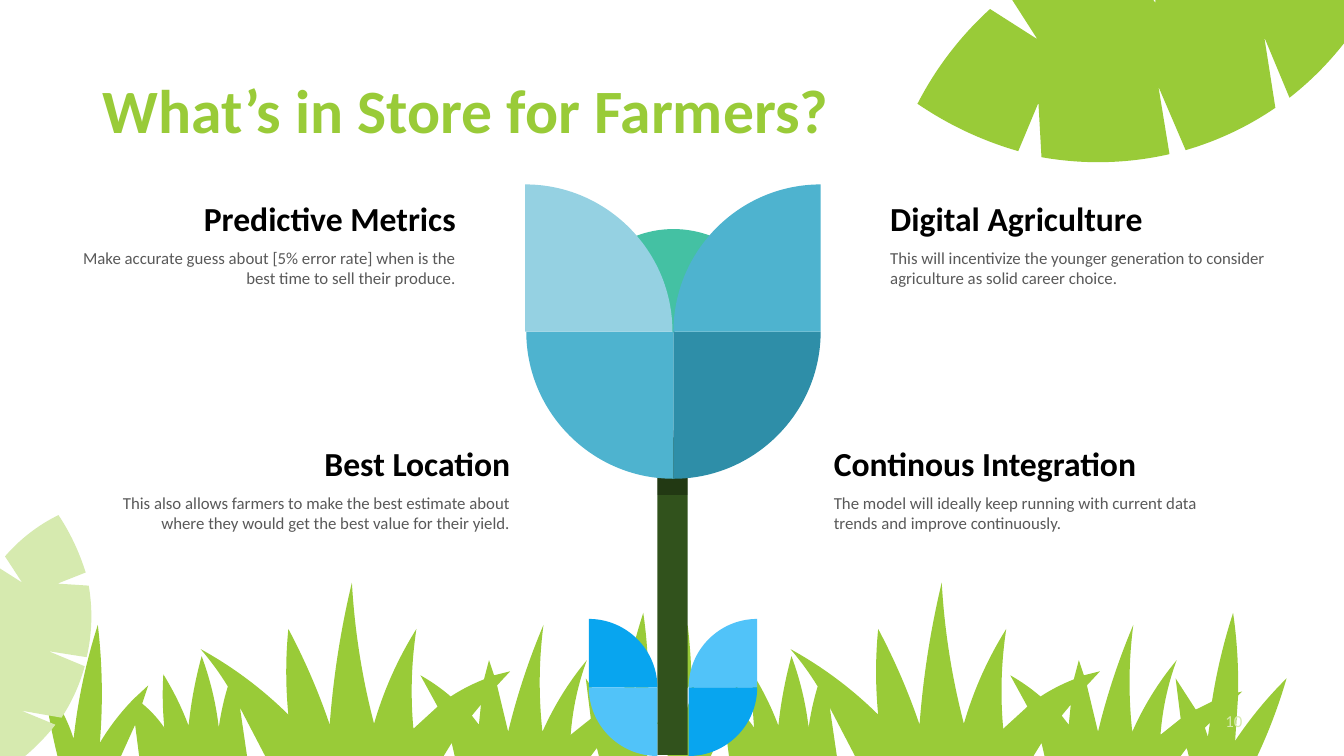
import math
from lxml import etree
from pptx import Presentation
from pptx.dml.color import RGBColor
from pptx.enum import shapes, text
from pptx.oxml.ns import qn
from pptx.util import Cm, Pt

# Content
TITLE = "What’s in Store for Farmers?"
PAGE_NUMBER = "10"
L, R = text.PP_ALIGN.LEFT, text.PP_ALIGN.RIGHT
# left, top, width, body height (inches), alignment, heading, body
TOPICS = [
    (8.27, 4.34, 3.66, 0.5, L, "Continous Integration",
     "The model will ideally keep running with current data trends and improve continuously."),
    (0.7, 1.91, 3.82, 0.5, R, "Predictive Metrics",
     "Make accurate guess about [5% error rate] when is the best time to sell their produce."),
    (8.83, 1.91, 3.8, 0.5, L, "Digital Agriculture",
     "This will incentivize the younger generation to consider agriculture as solid career choice."),
    (1.12, 4.34, 3.94, 0.71, R, "Best Location",
     "This also allows farmers to make the best estimate about where they would get the best value for their yield."),
]
C = {"green": "99CB38", "pale": "D6EAAF", "stem": "31521C", "black": "000000",
     "body": "595959", "leaf": "08A5EF", "leaf_light": "51C3F9", "bud": "44C1A3",
     "petal": "4EB3CF", "petal_dark": "2E8EA8", "petal_light": "95D1E2"}

# Outlines: x, y in inches and the bow of the edge that ends there (percent)
GRASS = [
    (6.4, 7.35, 0), (6.43, 6.9, 0), (6.47, 6.86, 0), (6.43, 6.87, 0), (6.38, 6.08, -4),
    (6.17, 6.96, -4), (6.01, 7.04, 0), (5.81, 6.73, 0), (5.86, 7.13, 0), (5.66, 7.29, 0),
    (5.82, 6.55, 7), (5.38, 7.26, -7), (5.39, 6.2, 6), (5.04, 7.26, -4), (4.93, 6.8, 0),
    (5.06, 6.66, 0), (4.9, 6.7, 0), (4.85, 6.55, 0), (4.8, 6.74, 0), (4.47, 6.91, -5),
    (4.17, 6.7, -5), (4.34, 7.01, 0), (4.1, 7.23, 0), (4.13, 6.24, 6), (3.71, 7.18, -7),
    (3.49, 5.78, 5), (3.27, 7.19, -4), (2.86, 6.24, -4), (2.86, 7.09, -5), (1.99, 6.44, -7),
    (2.26, 6.81, 4), (2.17, 7.22, -4), (2.0, 6.51, -6), (1.87, 7.2, -4), (1.62, 6.69, -5),
    (1.63, 7.22, -4), (1.41, 6.98, -7), (1.47, 6.8, 0), (1.33, 6.93, 0), (0.99, 7.37, -6),
    (0.97, 6.2, -5), (0.73, 7.33, -5), (0.44, 6.8, -10), (0.57, 7.5, -3), (1.2, 7.5, 0),
    (1.34, 7.19, 0), (1.38, 7.5, 0), (2.45, 7.5, 0), (2.38, 7.02, 0), (2.63, 7.5, 0),
    (4.4, 7.5, 0), (4.48, 7.37, 0), (4.51, 7.5, 0), (5.86, 7.5, 0), (5.92, 7.42, 0),
    (5.94, 7.5, 0), (6.62, 7.5, 0), (6.91, 6.73, -4), (6.4, 7.35, -5),
]
GRASS_GAPS = [
    [(4.75, 7.19, 0), (4.68, 7.1, 0), (4.77, 6.99, 0)],
    [(6.13, 7.31, 0), (6.1, 7.22, 0), (6.15, 7.17, 0)],
]
GRASS_SHIFTS = [0, 5.85]
LEFT_FROND = [
    (0.25, 7.5, 0), (0.55, 7.19, -5), (0.21, 7.05, 0), (0.61, 7.12, 0), (0.84, 6.61, -8),
    (0.48, 6.46, 0), (0.86, 6.52, 0), (0.88, 5.81, -10), (0.57, 5.79, 0), (0.85, 5.68, 0),
    (0.58, 5.11, -7), (0.05, 5.52, -10), (0.22, 5.78, 0), (0, 5.64, 0), (0, 7.5, 0),
]
TOP_FROND = [
    (13.33, 0.43, 0), (12.79, 0.97, 6), (12.54, 0.37, 0), (12.65, 1.07, 0), (11.76, 1.49, 8),
    (11.49, 0.86, 0), (11.6, 1.53, 0), (10.33, 1.56, 10), (10.3, 1.02, 0), (10.1, 1.5, 0),
    (9.1, 1.03, 8), (9.82, 0.09, 9), (10.29, 0.39, 0), (10.04, 0, 0), (11.44, 0, 0),
    (11.46, 0.03, 0), (11.46, 0, 0), (13.33, 0, 0),
]
# Flower sectors: centre x, centre y, radius, start angle, colour
FLOWER = [
    (5.84, 6.82, 0.68, 270, "leaf"), (6.52, 6.82, 0.68, 90, "leaf_light"),
    (7.51, 6.82, 0.68, 180, "leaf_light"), (6.83, 6.82, 0.68, 0, "leaf"),
    (6.68, 3.3, 1.03, 225, "bud"), (6.68, 3.29, 1.46, 0, "petal_dark"),
    (6.68, 3.29, 1.46, 90, "petal"), (8.14, 3.29, 1.46, 180, "petal"),
    (5.21, 3.29, 1.46, 270, "petal_light"),
]
UNITS = 1000  # outline units per inch


def inch(value):
    return Cm(value * 2.54)


def paint(sp, color, alpha=None):
    sp.shadow.inherit = False
    sp.fill.solid()
    sp.fill.fore_color.rgb = RGBColor.from_string(C[color])
    sp.line.fill.background()
    if alpha:
        clr = sp.fill._xPr.find(".//" + qn("a:srgbClr"))
        etree.SubElement(clr, qn("a:alpha"), val=str(alpha * 1000))


def sector(cx, cy, radius, start):
    """A quarter disc; a bow of 50 puts the control at the tangents' corner."""
    ends = [(math.radians(start + turn), bow) for turn, bow in ((0, 0), (90, 50))]
    return [(cx, cy, 0)] + [(cx + radius * math.cos(a), cy + radius * math.sin(a), bow)
                            for a, bow in ends]


def draw(s, contours, color, pull=2 / 3):
    loops = [[(round(x * UNITS), round(y * UNITS), bow) for x, y, bow in c] for c in contours]
    builder = s.shapes.build_freeform(*loops[0][0][:2], scale=Cm(2.54) / UNITS)
    for i, loop in enumerate(loops):
        if i:
            builder.move_to(*loop[0][:2])
        builder.add_line_segments([point[:2] for point in loop[1:]])
    sp = builder.convert_to_shape()
    paint(sp, color)

    # Bend the bowed edges into cubic curves
    left = min(x for loop in loops for x, y, bow in loop)
    top = min(y for loop in loops for x, y, bow in loop)
    edges = [edge for loop in loops for edge in zip(loop, loop[1:])]
    for line, ((x0, y0, _), (x1, y1, bow)) in zip(list(sp._element.iter(qn("a:lnTo"))), edges):
        if not bow:
            continue
        cx = (x0 + x1) / 2 + bow / 100 * (y1 - y0)
        cy = (y0 + y1) / 2 - bow / 100 * (x1 - x0)
        line.tag = qn("a:cubicBezTo")
        for i, (x, y) in enumerate([(x0, y0), (x1, y1)]):
            pt = etree.Element(qn("a:pt"), x=str(round(x + pull * (cx - x) - left)),
                               y=str(round(y + pull * (cy - y) - top)))
            line.insert(i, pt)


def write(sp, words, color, frame, align=L, spacing=None, **font):
    tf = sp.text_frame
    for name, value in {"word_wrap": True, **frame}.items():
        setattr(tf, name, value)
    p = tf.paragraphs[0]
    p.alignment, p.line_spacing = align, spacing
    r = p.add_run()
    r.text = words
    for name, value in {"name": "Calibri", **font}.items():
        setattr(r.font, name, value)
    r.font.color.rgb = RGBColor.from_string(C[color])


def main():
    prs = Presentation()
    prs.slide_width, prs.slide_height = inch(13.33), inch(7.5)
    s = prs.slides.add_slide(prs.slide_layouts[5])
    middle, bottom = text.MSO_ANCHOR.MIDDLE, text.MSO_ANCHOR.BOTTOM

    # Grass and fronds
    grass = [[(x + shift, y, bow) for x, y, bow in outline]
             for shift in GRASS_SHIFTS for outline in [GRASS] + GRASS_GAPS]
    for contours, color in [(grass, "green"), ([LEFT_FROND], "pale"), ([TOP_FROND], "green")]:
        draw(s, contours, color)

    # Title and page number
    sp = s.shapes.title
    sp.left, sp.top, sp.width, sp.height = map(inch, (0.92, 0.4, 8, 1.45))
    write(sp, TITLE, "green", {"vertical_anchor": middle}, spacing=0.9, size=Pt(44), bold=True)
    sp = s.shapes.add_textbox(*map(inch, (9.42, 6.95, 3, 0.4)))
    write(sp, PAGE_NUMBER, "pale", {"vertical_anchor": middle}, R, size=Pt(12))

    # Stem with the shade under the bloom
    for top, height, color, alpha in [(4.34, 3.15, "stem", None), (4.27, 0.64, "black", 30)]:
        box = map(inch, (6.52, top, 0.3, height))
        paint(s.shapes.add_shape(shapes.MSO_SHAPE.RECTANGLE, *box), color, alpha)

    # Leaves and petals
    for cx, cy, radius, start, color in FLOWER:
        draw(s, [sector(cx, cy, radius, start)], color, pull=0.55)

    # Topics
    frame = {"margin_left": 0, "margin_right": 0}
    for left, top, width, height, align, heading, body in TOPICS:
        sp = s.shapes.add_textbox(*map(inch, (left, top, width, 0.5)))
        write(sp, heading, "black", {**frame, "vertical_anchor": bottom}, align,
              size=Pt(24), bold=True)
        sp = s.shapes.add_textbox(*map(inch, (left, top + 0.5, width, height)))
        write(sp, body, "body", frame, align, size=Pt(12))

    prs.save("out.pptx")


if __name__ == "__main__":
    main()
